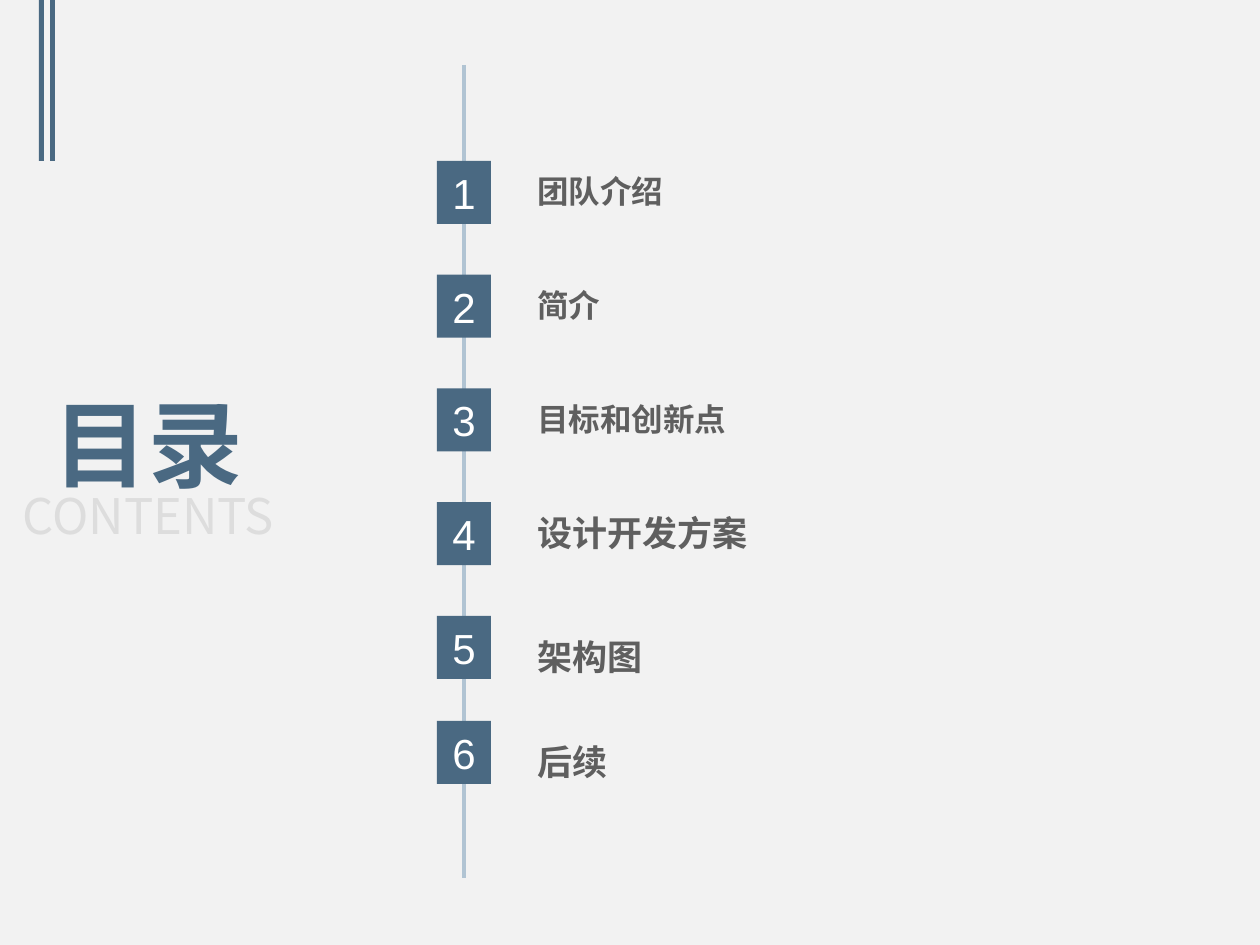
from pptx import Presentation
from pptx import util as u
from pptx.dml.color import RGBColor
from pptx.enum import shapes, text
from pptx.oxml import ns
from lxml import etree

PX = u.Inches(1) / 126
BACKGROUND = RGBColor(0xF2, 0xF2, 0xF2)
BLUE = RGBColor(0x4A, 0x69, 0x82)
PALE_BLUE = RGBColor(0xB1, 0xC4, 0xD3)
GREY = RGBColor(0x5F, 0x5F, 0x5F)
PALE_GREY = RGBColor(0xDD, 0xDD, 0xDD)
WHITE = RGBColor(0xFF, 0xFF, 0xFF)
CHINESE_FONT = "Noto Sans CJK SC"
CENTER = text.PP_ALIGN.CENTER
ENTRIES = [
    ("团队介绍", 18, 1),
    ("简介", 18, 1),
    ("目标和创新点", 18, 1),
    ("设计开发方案", 20, 1),
    ("架构图", 20, 1.5),
    ("后续", 20, 1.5),
]


def px(*lengths):
    """Turn pixel lengths into EMU."""
    return [u.Emu(round(length * PX)) for length in lengths]


def write(shape, words, size, color, font=CHINESE_FONT, bold=False,
          align=text.PP_ALIGN.LEFT, spacing=1, wrap=True):
    """Write one run, centred vertically, in a shape."""
    frame = shape.text_frame
    frame.word_wrap = wrap
    frame.vertical_anchor = text.MSO_ANCHOR.MIDDLE
    paragraph = frame.paragraphs[0]
    paragraph.alignment = align
    paragraph.line_spacing = spacing
    run = paragraph.add_run()
    run.text = words
    run.font.size = u.Pt(size)
    run.font.bold = bold
    run.font.color.rgb = color
    run.font.name = font
    east_asian = etree.SubElement(run.font._element, ns.qn("a:ea"))
    east_asian.set("typeface", font)


def add_block(slide, left, top, width, height):
    """Add a plain blue rectangle."""
    shape = slide.shapes.add_shape(
        shapes.MSO_SHAPE.RECTANGLE, *px(left, top, width, height))
    shape.shadow.inherit = False
    shape.fill.solid()
    shape.fill.fore_color.rgb = BLUE
    shape.line.fill.background()
    return shape


def add_corner_bars(slide, left, top, height):
    """Add the pair of upright bars in the corner."""
    for offset in (0, 11):
        add_block(slide, left + offset, top, 5, height)


def add_heading(slide, left, top, width):
    """Add the heading with its pale subtitle below."""
    lines = [("目录", 54, BLUE, True, 0), ("CONTENTS", 28, PALE_GREY, False, 72)]
    for words, size, color, bold, offset in lines:
        box = slide.shapes.add_textbox(*px(left, top + offset, width, 108))
        box.text_frame.margin_left = box.text_frame.margin_right = 0
        write(box, words, size, color, bold=bold, align=CENTER, wrap=False)


def add_timeline(slide, left, top, height):
    """Add the upright line that joins the entries."""
    line = slide.shapes.add_connector(
        shapes.MSO_CONNECTOR.STRAIGHT, *px(left, top, left, top + height))
    line.line.color.rgb = PALE_BLUE
    line.line.width = u.Pt(2)
    etree.SubElement(line._element.spPr, ns.qn("a:effectLst"))


def add_entry(slide, left, top, number, label, size, spacing):
    """Add one numbered block and its label."""
    box = slide.shapes.add_textbox(*px(left + 75, top - 7, 702, 74))
    box.text_frame.margin_left = u.Inches(0.2)
    write(box, label, size, GREY, bold=True, spacing=spacing)
    block = add_block(slide, left, top, 54, 63)
    write(block, str(number), 24, WHITE, font="Arial", align=CENTER)


def add_contents(slide, left, top):
    """Add the line and the entries, the last one set a little closer."""
    add_timeline(slide, left + 27, top - 96, 813)
    pitch = 455 / 4
    last = len(ENTRIES) - 1
    for index, (label, size, spacing) in enumerate(ENTRIES):
        offset = 560 if index == last else index * pitch
        add_entry(slide, left, top + offset, index + 1, label, size, spacing)


def main():
    """Build the contents slide and save it."""
    presentation = Presentation()
    presentation.slide_width, presentation.slide_height = px(1260, 945)
    slide = presentation.slides.add_slide(presentation.slide_layouts[6])
    slide.background.fill.solid()
    slide.background.fill.fore_color.rgb = BACKGROUND
    add_corner_bars(slide, 39, 0, 161)
    add_contents(slide, 437, 161)
    add_heading(slide, 9, 389, 279)
    presentation.save("out.pptx")


if __name__ == "__main__":
    main()
